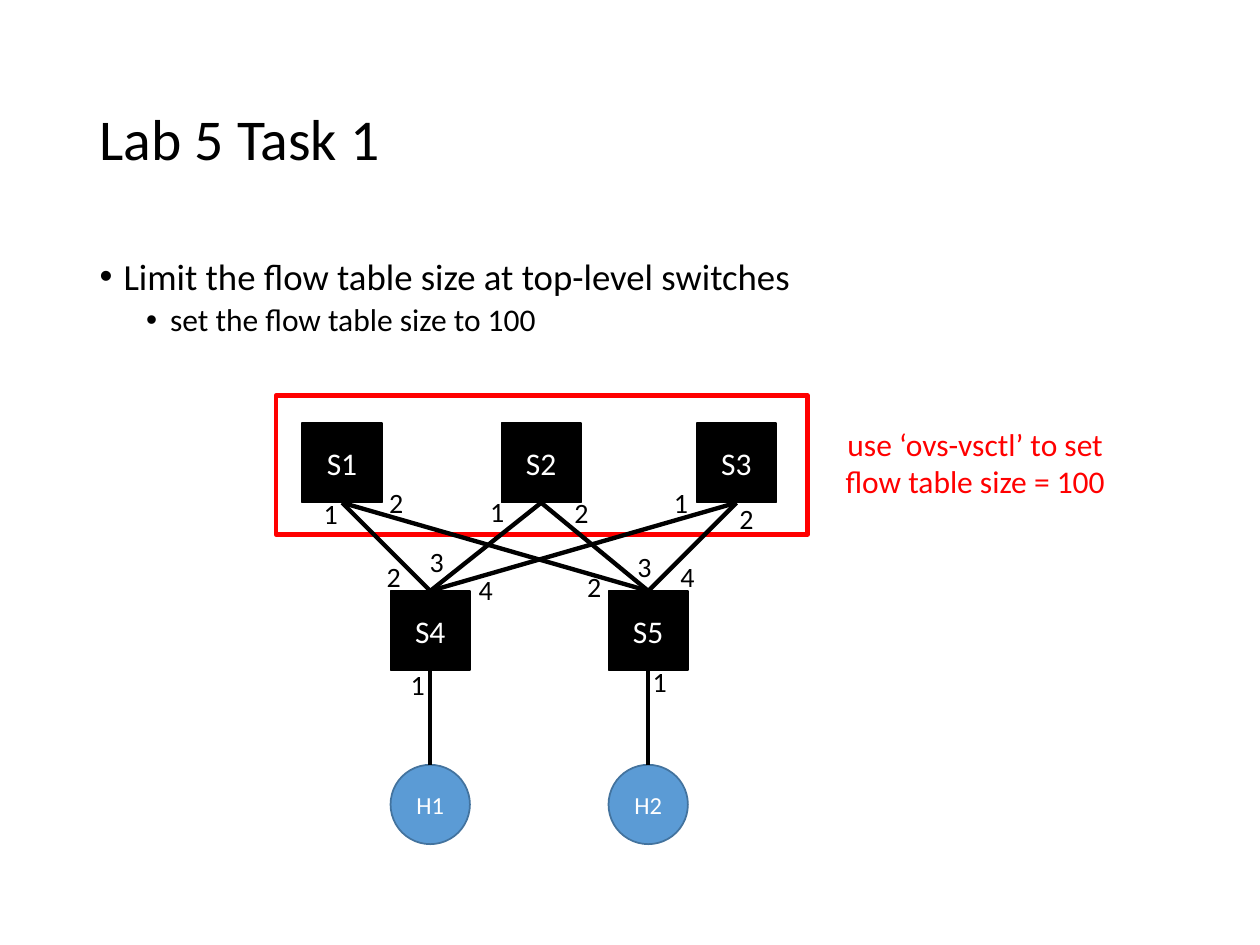
import pptx
import pptx.util
import pptx.dml.color
import pptx.enum.shapes
import pptx.enum.text
import pptx.oxml.ns
from lxml import etree

Inches, Pt = pptx.util.Inches, pptx.util.Pt
SHAPE = pptx.enum.shapes.MSO_SHAPE
ALIGN = pptx.enum.text.PP_ALIGN
ANCHOR = pptx.enum.text.MSO_ANCHOR

COLORS = {"ink": "000000", "paper": "FFFFFF", "limit": "FF0000",
          "host": "5B9BD5", "host_edge": "43739E"}
FONT = "Calibri"

TITLE = "Lab 5 Task 1"
# text, level, size, space before, left indent
BULLETS = [
    ("Limit the flow table size at top-level switches", 0, 21, 7.5, 0.19),
    ("set the flow table size to 100", 1, 18, 3.8, 0.56),
]
HANGING = 0.19
NOTE = "use ‘ovs-vsctl’ to set flow table size = 100"

NODE_SIZE = 0.63
COLUMN_LEFT, COLUMN_RIGHT = 3.1, 4.83
TOP_ROW, MIDDLE_ROW, HOST_ROW = 3.36, 4.69, 6.07
SWITCHES = {
    "S1": (2.4, TOP_ROW), "S2": (3.98, TOP_ROW), "S3": (5.53, TOP_ROW),
    "S4": (COLUMN_LEFT, MIDDLE_ROW), "S5": (COLUMN_RIGHT, MIDDLE_ROW),
}
HOSTS = {"H1": (COLUMN_LEFT, HOST_ROW), "H2": (COLUMN_RIGHT, HOST_ROW)}
LINKS = [(upper, lower) for upper in ("S1", "S2", "S3") for lower in ("S4", "S5")]
LINKS += [("S4", "H1"), ("S5", "H2")]

# port labels of each switch: number, left, top
PORTS = {
    "S1": [("1", 2.45, 3.96), ("2", 2.97, 3.87)],
    "S2": [("1", 3.77, 3.94), ("2", 4.44, 3.95)],
    "S3": [("1", 5.23, 3.87), ("2", 5.75, 4.0)],
    "S4": [("1", 3.14, 5.32), ("2", 2.95, 4.46), ("3", 3.29, 4.34), ("4", 3.68, 4.56)],
    "S5": [("1", 5.06, 5.29), ("2", 4.54, 4.54), ("3", 4.94, 4.38), ("4", 5.28, 4.46)],
}


def rgb(name):
    return pptx.dml.color.RGBColor.from_string(COLORS[name])


def style(paragraph, size, color, align):
    paragraph.alignment = align
    paragraph.font.name = FONT
    paragraph.font.size = Pt(size)
    paragraph.font.color.rgb = rgb(color)


def place(shape, left, top, width, height):
    shape.left, shape.top = Inches(left), Inches(top)
    shape.width, shape.height = Inches(width), Inches(height)


def add_bullet(paragraph, left):
    props = paragraph._p.get_or_add_pPr()
    props.set("marL", str(Inches(left)))
    props.set("indent", str(-Inches(HANGING)))
    for tag, attribute, value in (("a:buFont", "typeface", "Arial"),
                                  ("a:buChar", "char", "•")):
        etree.SubElement(props, pptx.oxml.ns.qn(tag)).set(attribute, value)


def add_shape(slide, kind, box, fill, edge, edge_width):
    shape = slide.shapes.add_shape(kind, *map(Inches, box))
    shape.shadow.inherit = False
    if fill:
        shape.fill.solid()
        shape.fill.fore_color.rgb = rgb(fill)
    else:
        shape.fill.background()
    shape.line.color.rgb = rgb(edge)
    shape.line.width = Pt(edge_width)
    return shape


def add_node(slide, name, position, kind, fill, edge, size):
    node = add_shape(slide, kind, (*position, NODE_SIZE, NODE_SIZE), fill, edge, 1)
    node.text_frame.text = name
    node.text_frame.vertical_anchor = ANCHOR.MIDDLE
    style(node.text_frame.paragraphs[0], size, "paper", ALIGN.CENTER)
    return node


def add_label(slide, text, box, size, color, margin):
    frame = slide.shapes.add_textbox(*map(Inches, box)).text_frame
    frame.word_wrap = True
    frame.margin_left = frame.margin_right = Inches(margin)
    frame.vertical_anchor = ANCHOR.MIDDLE
    frame.text = text
    style(frame.paragraphs[0], size, color, ALIGN.CENTER)


def add_link(slide, upper, lower):
    link = slide.shapes.add_connector(
        pptx.enum.shapes.MSO_CONNECTOR.STRAIGHT, 0, 0, 0, 0)
    link.begin_connect(upper, 2)
    link.end_connect(lower, 0)
    link.line.color.rgb = rgb("ink")
    link.line.width = Pt(2.5)
    etree.SubElement(link._element.spPr, pptx.oxml.ns.qn("a:effectLst"))


def fill_placeholders(slide):
    title, body = slide.placeholders
    place(title, 0.69, 0.4, 8.62, 1.45)
    place(body, 0.69, 2, 8.62, 4.76)
    for frame in (title.text_frame, body.text_frame):
        frame.auto_size = pptx.enum.text.MSO_AUTO_SIZE.NONE
    title.text_frame.text = TITLE
    title.text_frame.vertical_anchor = ANCHOR.MIDDLE
    heading = title.text_frame.paragraphs[0]
    heading.line_spacing = 0.9
    style(heading, 33, "ink", ALIGN.LEFT)

    body.text_frame.text = "\n".join(bullet[0] for bullet in BULLETS)
    for paragraph, (_, level, size, before, left) in zip(body.text_frame.paragraphs, BULLETS):
        paragraph.level = level
        paragraph.line_spacing = 0.9
        paragraph.space_before = Pt(before)
        style(paragraph, size, "ink", ALIGN.LEFT)
        add_bullet(paragraph, left)


def main():
    deck = pptx.Presentation()
    deck.slide_width, deck.slide_height = Inches(10), Inches(7.5)
    slide = deck.slides.add_slide(deck.slide_layouts[1])
    fill_placeholders(slide)

    add_shape(slide, SHAPE.RECTANGLE, (2.19, 3.14, 4.22, 1.1), None, "limit", 2.75)
    add_label(slide, NOTE, (6.53, 3.41, 2.42, 0.52), 18, "limit", 0.1)

    nodes = {}
    for name, position in SWITCHES.items():
        nodes[name] = add_node(slide, name, position, SHAPE.RECTANGLE, "ink", "ink", 18)
    for name, position in HOSTS.items():
        nodes[name] = add_node(slide, name, position, SHAPE.OVAL, "host", "host_edge", 14)
    for upper, lower in LINKS:
        add_link(slide, nodes[upper], nodes[lower])
    for ports in PORTS.values():
        for number, left, top in ports:
            add_label(slide, number, (left, top, 0.35, 0.23), 16, "ink", 0)

    deck.save("out.pptx")


if __name__ == "__main__":
    main()
